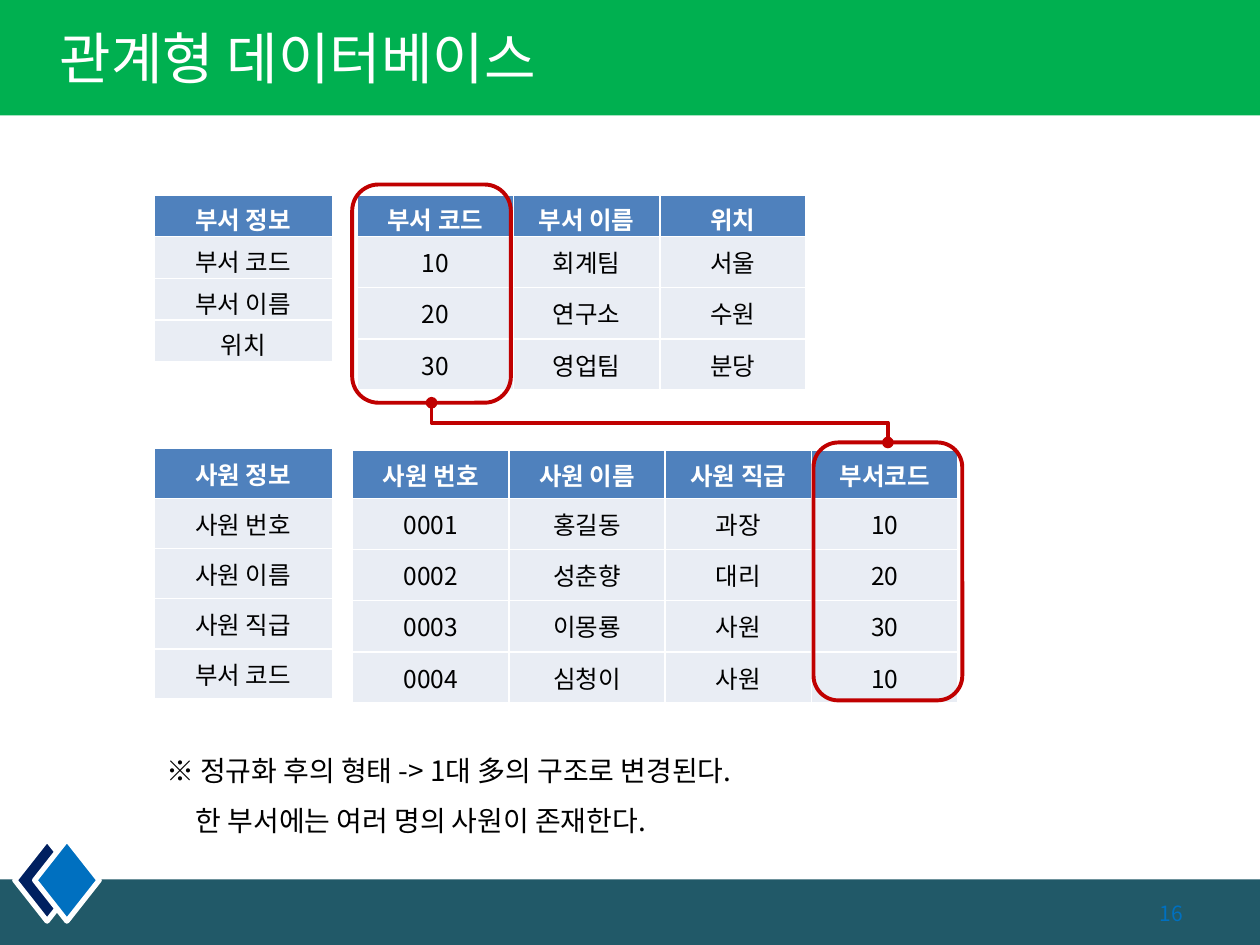
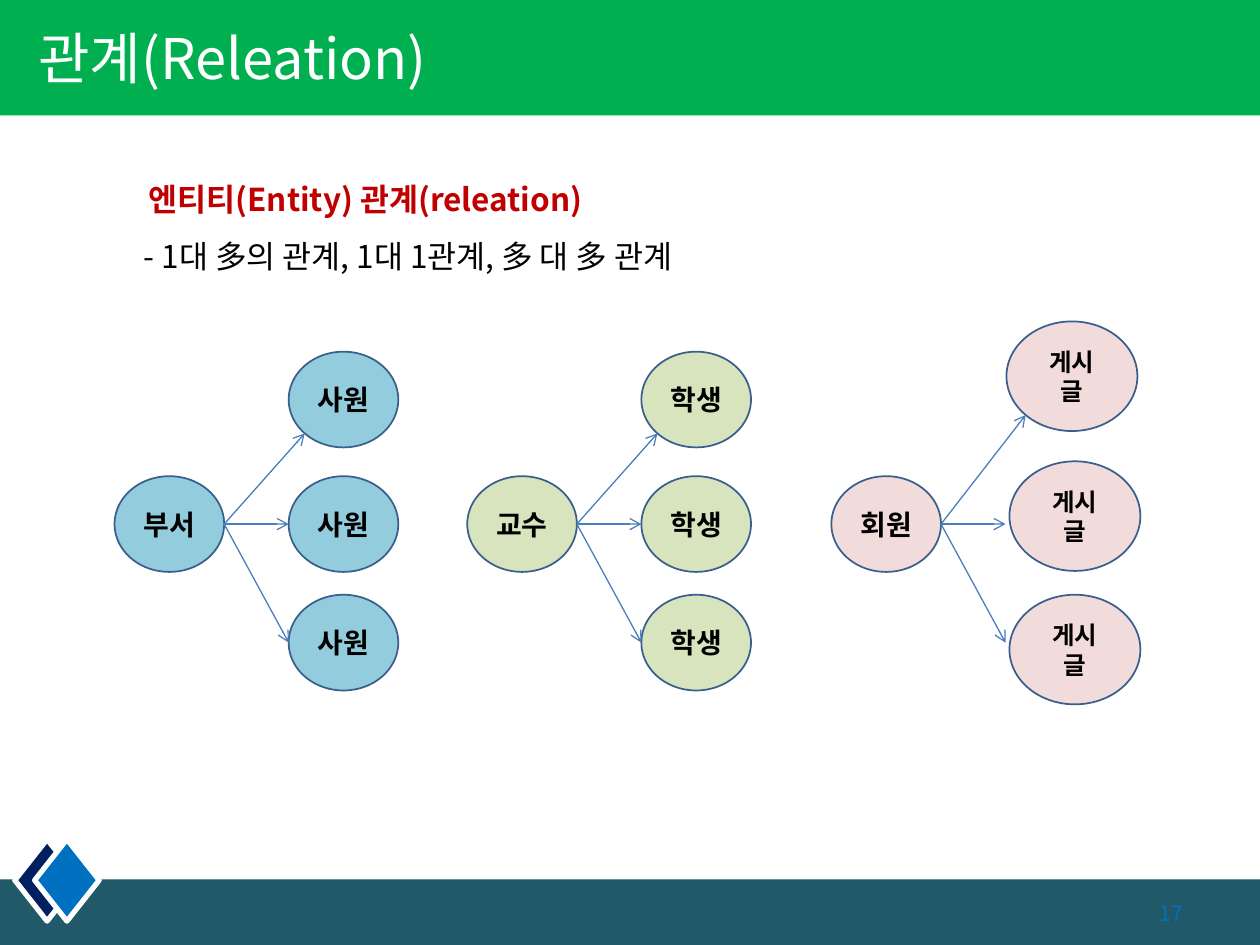
from lxml.etree import SubElement
from pptx import Presentation
from pptx.dml.color import RGBColor
from pptx.enum.shapes import MSO_CONNECTOR as LINK, MSO_SHAPE as SHAPE
from pptx.enum.text import MSO_ANCHOR as ANCHOR, PP_ALIGN as ALIGN
from pptx.oxml.ns import qn
from pptx.util import Cm, Pt

FONT = "Noto Sans CJK KR"
WHITE, BLACK, RED = "FFFFFF", "000000", "C00000"
GREEN, TEAL, NAVY, BLUE = "00B050", "215968", "002060", "0070C0"
HEADER, BODY = "4F81BD", "E9EDF4"
OUTLINE, ARROW = "3A5F8C", "4B7EBC"
SLIDE_WIDTH, SLIDE_HEIGHT = 25.4, 19.05

PARENT_TOP, CHILD_OFFSET = 9.6, 3.51
SMALL, LARGE = (2.21, 1.93), (2.64, 2.21)


def color(hex_code):
    """Turn a hex string into a colour."""
    return RGBColor.from_string(hex_code)


def style(paragraph, size, hex_code, bold=False, align=ALIGN.LEFT):
    """Set the font and alignment of a paragraph, Korean letters included."""
    paragraph.alignment = align
    font = paragraph.font
    font.name, font.size, font.bold = FONT, Pt(size), bold
    font.color.rgb = color(hex_code)
    defaults = paragraph._p.pPr.find(qn("a:defRPr"))
    SubElement(defaults, qn("a:ea")).set("typeface", FONT)


def add_figure(slide, kind, box, fill=None, line=None, width=1):
    """Draw a preset shape in a box of left, top, width and height."""
    figure = slide.shapes.add_shape(kind, *map(Cm, box))
    figure.shadow.inherit = False
    if fill:
        figure.fill.solid()
        figure.fill.fore_color.rgb = color(fill)
    else:
        figure.fill.background()
    if line:
        figure.line.color.rgb = color(line)
        figure.line.width = Pt(width)
    else:
        figure.line.fill.background()
    return figure


def add_text(slide, box, lines, size, spacing=1.0, anchor=ANCHOR.TOP, align=ALIGN.LEFT):
    """Write lines given as text, colour, bold and indent."""
    frame = slide.shapes.add_textbox(*map(Cm, box)).text_frame
    frame.word_wrap = True
    frame.vertical_anchor = anchor
    for index, (text, hex_code, bold, indent) in enumerate(lines):
        paragraph = frame.add_paragraph() if index else frame.paragraphs[0]
        paragraph.text = text
        paragraph.line_spacing = spacing
        style(paragraph, size, hex_code, bold, align)
        paragraph._p.pPr.set("marL", str(Cm(indent)))


def add_page(deck, title, title_left, number):
    """Add a slide with bands, diamonds, title and page number."""
    slide = deck.slides.add_slide(deck.slide_layouts[6])
    add_figure(slide, SHAPE.RECTANGLE, (0, 17.73, SLIDE_WIDTH, 1.32), TEAL)
    for left, fill in ((0.3, NAVY), (0.7, BLUE)):
        add_figure(slide, SHAPE.DIAMOND, (left, 16.92, 1.3, 1.65), fill, WHITE, 3)
    add_figure(slide, SHAPE.RECTANGLE, (0, 0, SLIDE_WIDTH, 2.33), GREEN)
    add_text(slide, (title_left, -0.04, 18, 2.39), [(title, WHITE, False, 0)],
             32, anchor=ANCHOR.MIDDLE)
    add_text(slide, (22.1, 17.9, 2, 1), [(str(number), BLUE, False, 0)],
             12, anchor=ANCHOR.MIDDLE, align=ALIGN.RIGHT)
    return slide


def add_records(slide, left, top, widths, heights, rows):
    """Add a table with a blue header; heights are for header and body rows."""
    row_heights = [heights[0]] + [heights[1]] * (len(rows) - 1)
    frame = slide.shapes.add_table(len(rows), len(widths), Cm(left), Cm(top),
                                   Cm(sum(widths)), Cm(sum(row_heights)))
    table = frame.table
    table.horz_banding = False
    for column, width in zip(table.columns, widths):
        column.width = Cm(width)
    for index, (values, height) in enumerate(zip(rows, row_heights)):
        table.rows[index].height = Cm(height)
        is_header = index == 0
        for cell, value in zip(table.rows[index].cells, values):
            cell.text = value
            cell.vertical_anchor = ANCHOR.MIDDLE
            if height < 0.9:
                cell.margin_bottom = 0
            cell.fill.solid()
            cell.fill.fore_color.rgb = color(HEADER if is_header else BODY)
            style(cell.text_frame.paragraphs[0], 14, WHITE if is_header else BLACK,
                  is_header, ALIGN.CENTER)


def finish_line(connector, hex_code, width, **ends):
    """Set the colour, width and arrowheads of a connector."""
    connector.line.color.rgb = color(hex_code)
    connector.line.width = Pt(width)
    outline = connector.line._get_or_add_ln()
    for end, kind in ends.items():
        SubElement(outline, qn(f"a:{end}")).set("type", kind)
    SubElement(connector._element.spPr, qn("a:effectLst"))


def add_key_link(slide, upper, lower):
    """Join two key columns by an elbow that leaves downwards."""
    start_x, start_y = upper.left + upper.width // 2, upper.top + upper.height
    end_x, end_y = lower.left + lower.width // 2, lower.top
    link = slide.shapes.add_connector(LINK.ELBOW, start_x, start_y, end_x, end_y)
    link.begin_connect(upper, 2)
    link.end_connect(lower, 0)
    across, down = end_x - start_x, end_y - start_y
    link.left = (start_x + end_x - down) // 2
    link.top = (start_y + end_y - across) // 2
    link.width, link.height = down, across
    frame = link._element.spPr.find(qn("a:xfrm"))
    frame.set("rot", "16200000")
    frame.set("flipH", "1")
    finish_line(link, RED, 2.25, headEnd="oval", tailEnd="oval")


def add_entity(slide, box, label, fill, size):
    """Draw a labelled circle."""
    frame = add_figure(slide, SHAPE.OVAL, box, fill, OUTLINE).text_frame
    frame.word_wrap = True
    frame.vertical_anchor = ANCHOR.MIDDLE
    frame.margin_left = frame.margin_right = Cm(0.1 if len(label) == 2 else 0.3)
    frame.text = label
    style(frame.paragraphs[0], size, BLACK, True, ALIGN.CENTER)


def add_relation(slide, left, parent, child, fill, places, child_size, text_size):
    """Draw a parent entity with arrows to its three children."""
    width, height = SMALL
    add_entity(slide, (left, PARENT_TOP, width, height), parent, fill, 16)
    for place in places:
        add_entity(slide, (*place, *child_size), child, fill, text_size)

    middle = PARENT_TOP + height / 2
    diagonal = 0.5 ** 0.5
    top_left, top = places[0]
    targets = [
        (top_left + child_size[0] * (1 - diagonal) / 2,
         top + child_size[1] * (1 + diagonal) / 2),
        (left + CHILD_OFFSET, middle),
        (left + CHILD_OFFSET, places[2][1] + height / 2),
    ]
    for x, y in targets:
        arrow = slide.shapes.add_connector(LINK.STRAIGHT, Cm(left + width), Cm(middle),
                                           Cm(x), Cm(y))
        finish_line(arrow, ARROW, 0.75, tailEnd="arrow")


def build_database_page(deck):
    """Show department and employee tables linked by the department code."""
    slide = add_page(deck, "관계형 데이터베이스", 0.95, 16)
    add_records(slide, 7.11, 9.08, [3.15, 3.15, 2.95, 2.95], (0.97, 1.03), [
        ("사원 번호", "사원 이름", "사원 직급", "부서코드"),
        ("0001", "홍길동", "과장", "10"),
        ("0002", "성춘향", "대리", "20"),
        ("0003", "이몽룡", "사원", "30"),
        ("0004", "심청이", "사원", "10"),
    ])
    add_records(slide, 3.1, 9.04, [3.6], (1.01, 1.01), [
        ("사원 정보",), ("사원 번호",), ("사원 이름",), ("사원 직급",), ("부서 코드",)])
    add_records(slide, 3.1, 3.93, [3.6], (0.84, 0.84), [
        ("부서 정보",), ("부서 코드",), ("부서 이름",), ("위치",)])
    add_records(slide, 7.2, 3.93, [3.15, 2.95, 2.95], (0.84, 1.03), [
        ("부서 코드", "부서 이름", "위치"),
        ("10", "회계팀", "서울"),
        ("20", "연구소", "수원"),
        ("30", "영업팀", "분당"),
    ])
    department_key, employee_key = [
        add_figure(slide, SHAPE.ROUNDED_RECTANGLE, box, line=RED, width=2.25)
        for box in ((7.1, 3.72, 3.2, 4.4), (16.4, 8.92, 3, 5.2))]
    add_key_link(slide, department_key, employee_key)
    add_text(slide, (3.1, 14.73, 18.16, 2.31), [
        ("※ 정규화 후의 형태 -> 1대 多의 구조로 변경된다.", BLACK, False, 0),
        ("한 부서에는 여러 명의 사원이 존재한다.", BLACK, False, 0.6),
    ], 16, spacing=1.5)


def build_relation_page(deck):
    """Show three one-to-many relations."""
    slide = add_page(deck, "관계(Releation)", 0.52, 17)
    add_text(slide, (2.65, 3.12, 14.22, 2.57), [
        ("엔티티(Entity) 관계(releation)", RED, True, 0.1),
        ("- 1대 多의 관계, 1대 1관계, 多 대 多 관계", BLACK, False, 0),
    ], 18, spacing=1.5)
    for left, parent, child, fill in ((9.42, "교수", "학생", "D7E4BD"),
                                      (2.31, "부서", "사원", "93CDDD")):
        places = [(left + CHILD_OFFSET, top) for top in (7.09, PARENT_TOP, 11.99)]
        add_relation(slide, left, parent, child, fill, places, SMALL, 16)
    add_relation(slide, 16.76, "회원", "게시글", "F2DCDB",
                 [(20.29, 6.48), (20.35, 9.3), (20.35, 11.99)], LARGE, 14)


def main():
    """Build and save the slides."""
    deck = Presentation()
    deck.slide_width, deck.slide_height = Cm(SLIDE_WIDTH), Cm(SLIDE_HEIGHT)
    build_database_page(deck)
    build_relation_page(deck)
    deck.save("out.pptx")


if __name__ == "__main__":
    main()
